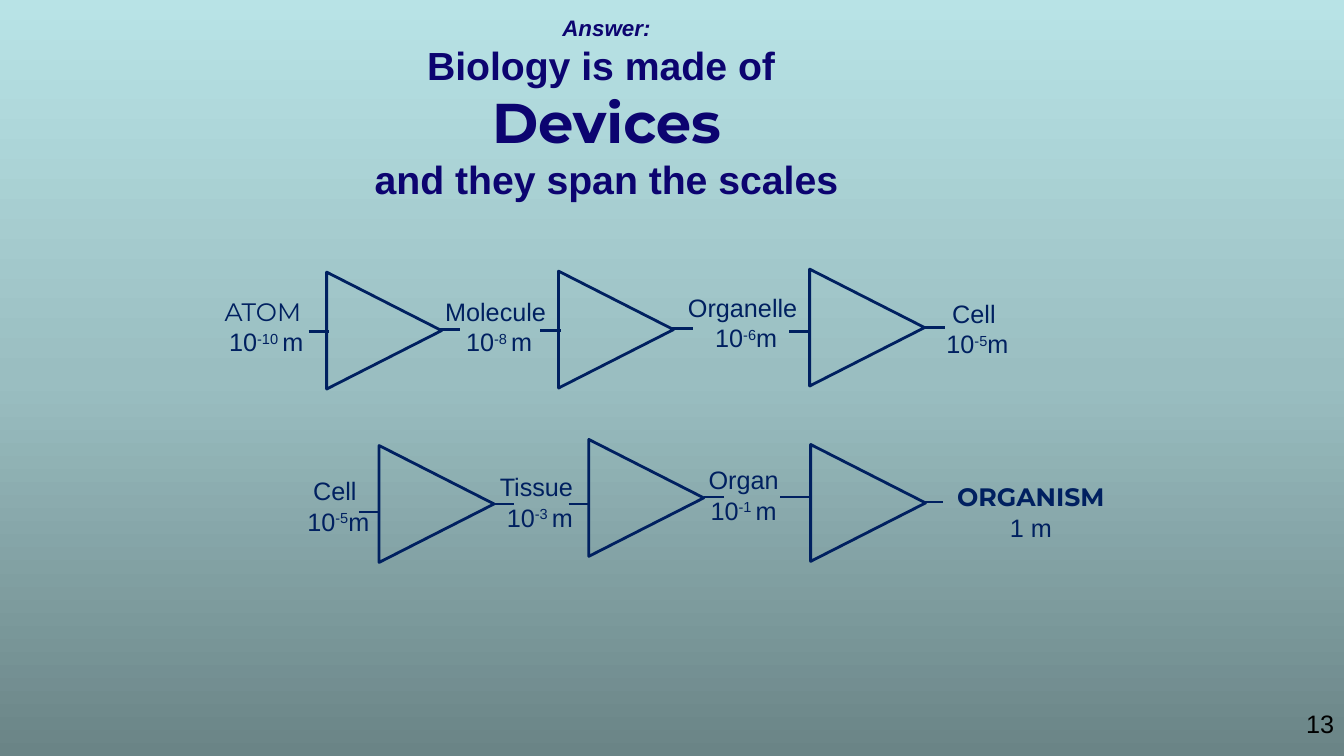
from copy import deepcopy
from typing import Any, NamedTuple

from pptx import Presentation
from pptx.dml.color import RGBColor
from pptx.enum.shapes import MSO_CONNECTOR, MSO_SHAPE
from pptx.enum.text import MSO_AUTO_SIZE, PP_ALIGN
from pptx.oxml.ns import qn
from pptx.oxml.xmlchemy import OxmlElement
from pptx.util import Inches, Pt

HUES = {
    "navy": "002060",
    "title": "0C0470",
    "black": "000000",
    "base": "6A8486",
    "mid": "9ABEC1",
    "top": "B8E3E6",
}
WIDE, HIGH = Inches(13.33), Inches(7.5)
COLS, ROWS = 133.3, 75  # square grid cells
SIDE, DEPTH = 11.6, 11.4  # base and height of each triangle
LABEL = 7.1


class Stage(NamedTuple):
    col: float
    row: float
    wide: float
    name: str
    power: str
    unit: str = "m"
    font: str = "Arial"


class Wire(NamedTuple):
    col: float
    row: float
    span: float = 2


class Amp(NamedTuple):
    col: float
    row: float


STAGES = [
    Stage(17.3, 28.9, 18.2, "ATOM ", "-10 ", font="Montserrat"),
    Stage(40.4, 28.9, 18.2, "Molecule ", "-8 "),
    Stage(64.9, 28.5, 18.2, "Organelle ", "-6"),
    Stage(91.8, 29.1, 10.3, "Cell ", "-5"),
    Stage(24, 46.7, 19.1, "Cell ", "-5"),
    Stage(44, 46.3, 19.1, "Tissue ", "-3 "),
    Stage(64.2, 45.6, 19.1, "Organ", "-1 "),
    Stage(93.6, 47.3, 17.3, "ORGANISM", "", "1 m", "Montserrat"),
]
AMPS = [
    Amp(32.3, 27.1), Amp(55.3, 27), Amp(80.2, 26.8),
    Amp(37.5, 44.3), Amp(58.3, 43.7), Amp(80.3, 44.2),
]
WIRES = [
    Wire(30.6, 32.9), Wire(43.6, 32.7), Wire(53.6, 32.8),
    Wire(66.7, 32.6), Wire(78.3, 32.9), Wire(91.7, 32.5),
    Wire(35.6, 50.8), Wire(49, 50), Wire(56.4, 50),
    Wire(69.8, 49.3), Wire(77.4, 49.3, 2.8), Wire(91.5, 49.8),
]


def hue(name: str) -> RGBColor:
    return RGBColor.from_string(HUES[name])


def x(cols: float) -> int:
    return round(WIDE * cols / COLS)


def y(rows: float) -> int:
    return round(HIGH * rows / ROWS)


def write(para: Any, text: str, *, size: float = 18, font: str = "Arial",
          tint: str = "navy", bold: bool = False, slant: bool = False,
          lift: bool = False) -> None:
    """Add one run; lift makes it a superscript."""
    run = para.add_run()
    run.text = text
    face = run.font
    face.size, face.name = Pt(size), font
    face.bold, face.italic = bold, slant
    face.color.rgb = hue(tint)
    if lift:
        face._element.set("baseline", "30000")


def frame(slide: Any, col: float, row: float, wide: float, high: float,
          align: PP_ALIGN = PP_ALIGN.CENTER, grow: bool = True) -> Any:
    """Add a text box and return its first paragraph."""
    text = slide.shapes.add_textbox(x(col), y(row), x(wide), y(high)).text_frame
    text.word_wrap = True
    if grow:
        text.auto_size = MSO_AUTO_SIZE.SHAPE_TO_FIT_TEXT
    para = text.paragraphs[0]
    para.alignment = align
    return para


def paint(slide: Any) -> None:
    """Fill the background, dark at the foot and light at the top."""
    fill = slide.background.fill
    fill.gradient()
    fill.gradient_angle = 90
    first = next(slide._element.iter(qn("a:gs")))
    first.addnext(deepcopy(first))
    for stop, place, name in zip(fill.gradient_stops, (0, 0.5, 1),
                                 ("base", "mid", "top")):
        stop.position = place
        stop.color.rgb = hue(name)


def draw_wire(slide: Any, wire: Wire) -> None:
    line = slide.shapes.add_connector(
        MSO_CONNECTOR.STRAIGHT, x(wire.col), y(wire.row),
        x(wire.col + wire.span), y(wire.row))
    line.line.color.rgb = hue("navy")
    line.line.width = Pt(1.75)
    line._element.spPr.append(OxmlElement("a:effectLst"))


def draw_amp(slide: Any, amp: Amp) -> None:
    shape = slide.shapes.add_shape(
        MSO_SHAPE.ISOSCELES_TRIANGLE, x(amp.col), y(amp.row), x(SIDE), y(DEPTH))
    shape.rotation = 90
    shape.shadow.inherit = False
    shape.fill.background()
    shape.line.color.rgb = hue("navy")
    shape.line.width = Pt(2)


def draw_stage(slide: Any, stage: Stage) -> None:
    para = frame(slide, stage.col, stage.row, stage.wide, LABEL)
    write(para, stage.name, font=stage.font, bold=not stage.power)
    para.add_line_break()
    if stage.power:
        write(para, "10")
        write(para, stage.power, lift=True)
    write(para, stage.unit)


def draw_title(slide: Any) -> None:
    para = frame(slide, 34.2, 0.9, 51.9, 20.2)
    write(para, "Answer:", size=16, tint="title", bold=True, slant=True)
    for text, size, font in (
        ("Biology is made of ", 28, "Arial"),
        ("Devices", 40, "Montserrat"),
        ("and they span the scales", 28, "Arial"),
    ):
        para.add_line_break()
        write(para, text, size=size, font=font, tint="title", bold=True)


def main() -> None:
    deck = Presentation()
    deck.slide_width, deck.slide_height = WIDE, HIGH
    slide = deck.slides.add_slide(deck.slide_layouts[6])
    paint(slide)
    page = frame(slide, 102.2, 69.8, 31.1, 5.2, PP_ALIGN.RIGHT, grow=False)
    write(page, "13", tint="black")
    for wire in WIRES:
        draw_wire(slide, wire)
    for amp in AMPS:
        draw_amp(slide, amp)
    for stage in STAGES:
        draw_stage(slide, stage)
    draw_title(slide)
    deck.save("out.pptx")


if __name__ == "__main__":
    main()
